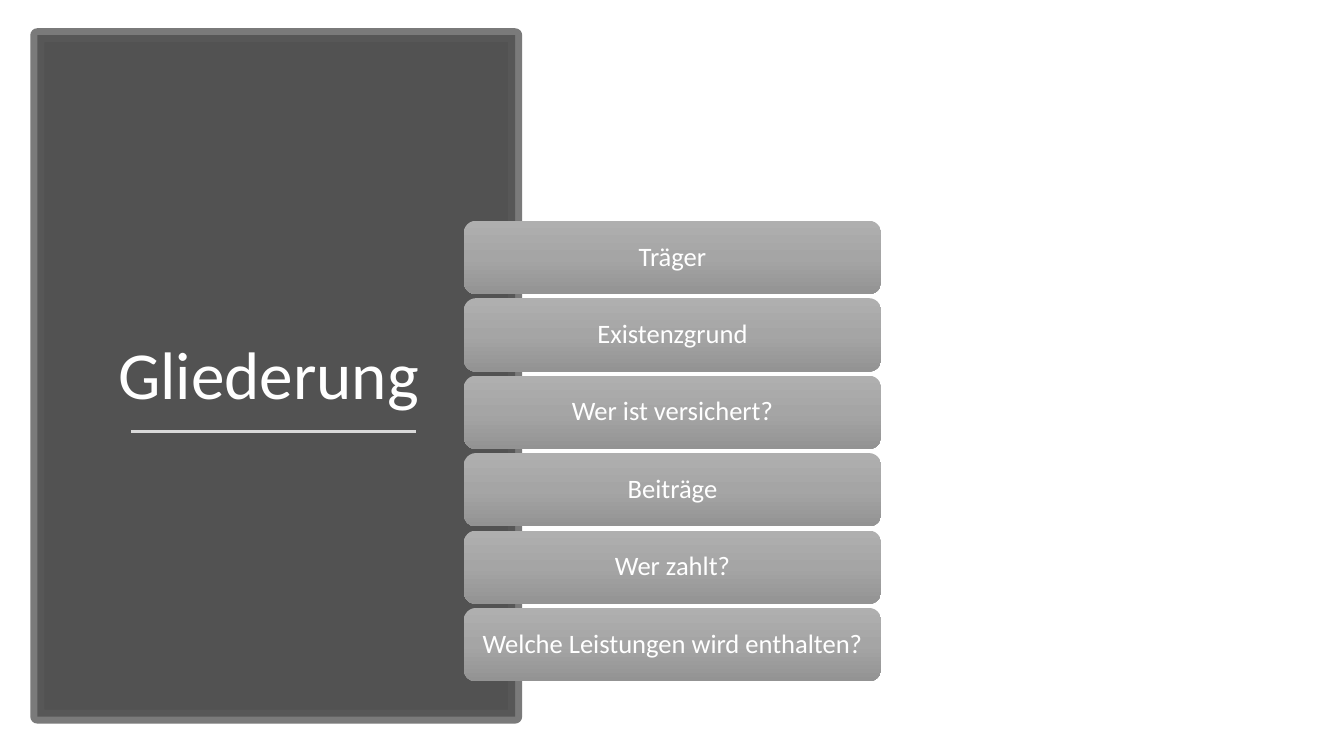
import copy
import dataclasses

import pptx
import pptx.dml.color
import pptx.enum.shapes
import pptx.enum.text
import pptx.oxml
import pptx.oxml.ns
import pptx.util

WIDTH, HEIGHT = 13.33, 7.5
FONT = "Calibri"
WHITE = "FFFFFF"
BAR_STOPS = ((0, "AFAFAF"), (50, "A5A5A5"), (100, "939393"))
TOPICS = (
    "Träger",
    "Existenzgrund",
    "Wer ist versichert?",
    "Beiträge",
    "Wer zahlt?",
    "Welche Leistungen wird enthalten?",
)


@dataclasses.dataclass(frozen=True)
class Area:
    left: float
    top: float
    width: float
    height: float

    def row(self, index: int, count: int, gap: float) -> "Area":
        """Return one of several equal rows within this area."""
        height = (self.height - gap * (count - 1)) / count
        return Area(self.left, self.top + index * (height + gap), self.width, height)

    def lengths(self) -> tuple:
        return tuple(pptx.util.Inches(value) for value in dataclasses.astuple(self))


PANEL = Area(0.37, 0.35, 4.74, 6.76)
TITLE = Area(0.74, 1, 4, 3.16)
RULE = Area(1.3, 4.28, 2.83, 0)
TOPIC_LIST = Area(4.6, 2.19, 4.14, 4.57)
ROW_GAP = 0.04


def color(value: str) -> pptx.dml.color.RGBColor:
    return pptx.dml.color.RGBColor.from_string(value)


def set_opacity(paint, percent: int) -> None:
    """Add an alpha value to the solid colour inside an XML element."""
    tint = paint.find(".//" + pptx.oxml.ns.qn("a:srgbClr"))
    alpha = pptx.oxml.parse_xml(
        f'<a:alpha {pptx.oxml.ns.nsdecls("a")} val="{percent * 1000}"/>')
    tint.append(alpha)


def set_gradient(shape, stops: tuple) -> None:
    """Fill a shape from top to bottom through the given stops."""
    shape.fill.gradient()
    shape.fill.gradient_angle = 270
    stop_list = shape._element.spPr.find(".//" + pptx.oxml.ns.qn("a:gsLst"))
    while len(stop_list) < len(stops):
        stop_list.append(copy.deepcopy(stop_list[-1]))
    for stop, (position, value) in zip(shape.fill.gradient_stops, stops):
        stop.position = position / 100
        stop.color.rgb = color(value)


def write(box, text: str, *, size: float, anchor, side: float = 0.1,
          edge: float = 0.05, after: float = 0) -> None:
    frame = box.text_frame
    frame.word_wrap = True
    frame.vertical_anchor = anchor
    frame.margin_left = frame.margin_right = pptx.util.Inches(side)
    frame.margin_top = frame.margin_bottom = pptx.util.Inches(edge)
    para = frame.paragraphs[0]
    para.alignment = pptx.enum.text.PP_ALIGN.CENTER
    para.line_spacing = 0.9
    para.space_after = pptx.util.Pt(after)
    span = para.add_run()
    span.text = text
    span.font.name = FONT
    span.font.size = pptx.util.Pt(size)
    span.font.color.rgb = color(WHITE)


def add_panel(page, area: Area) -> None:
    panel = page.shapes.add_shape(
        pptx.enum.shapes.MSO_SHAPE.RECTANGLE, *area.lengths())
    panel.shadow.inherit = False
    panel.fill.solid()
    panel.fill.fore_color.rgb = color("404040")
    panel.line.color.rgb = color("595959")
    panel.line.width = pptx.util.Pt(10)
    properties = panel._element.spPr
    set_opacity(properties.find(pptx.oxml.ns.qn("a:solidFill")), 90)
    set_opacity(properties.find(pptx.oxml.ns.qn("a:ln")), 80)


def add_rule(page, area: Area) -> None:
    left, top, width, height = area.lengths()
    rule = page.shapes.add_connector(
        pptx.enum.shapes.MSO_CONNECTOR.STRAIGHT, left, top, left + width, top + height)
    rule.line.color.rgb = color("D9D9D9")
    rule.line.width = pptx.util.Pt(1.75)
    rule._element.spPr.append(
        pptx.oxml.parse_xml(f'<a:effectLst {pptx.oxml.ns.nsdecls("a")}/>'))


def add_topic(page, area: Area, text: str) -> None:
    bar = page.shapes.add_shape(
        pptx.enum.shapes.MSO_SHAPE.ROUNDED_RECTANGLE, *area.lengths())
    bar.shadow.inherit = False
    bar.line.fill.background()
    set_gradient(bar, BAR_STOPS)
    write(bar, text, size=19, anchor=pptx.enum.text.MSO_ANCHOR.MIDDLE,
          side=0.08, edge=0.04)


deck = pptx.Presentation()
deck.slide_width = pptx.util.Inches(WIDTH)
deck.slide_height = pptx.util.Inches(HEIGHT)
page = deck.slides.add_slide(deck.slide_layouts[6])

# Dark panel with the title and its rule
add_panel(page, PANEL)
title = page.shapes.add_textbox(*TITLE.lengths())
write(title, "Gliederung ", size=48, anchor=pptx.enum.text.MSO_ANCHOR.BOTTOM)
add_rule(page, RULE)

# Topics in equal rows
for index, topic in enumerate(TOPICS):
    add_topic(page, TOPIC_LIST.row(index, len(TOPICS), ROW_GAP), topic)

deck.save("out.pptx")
